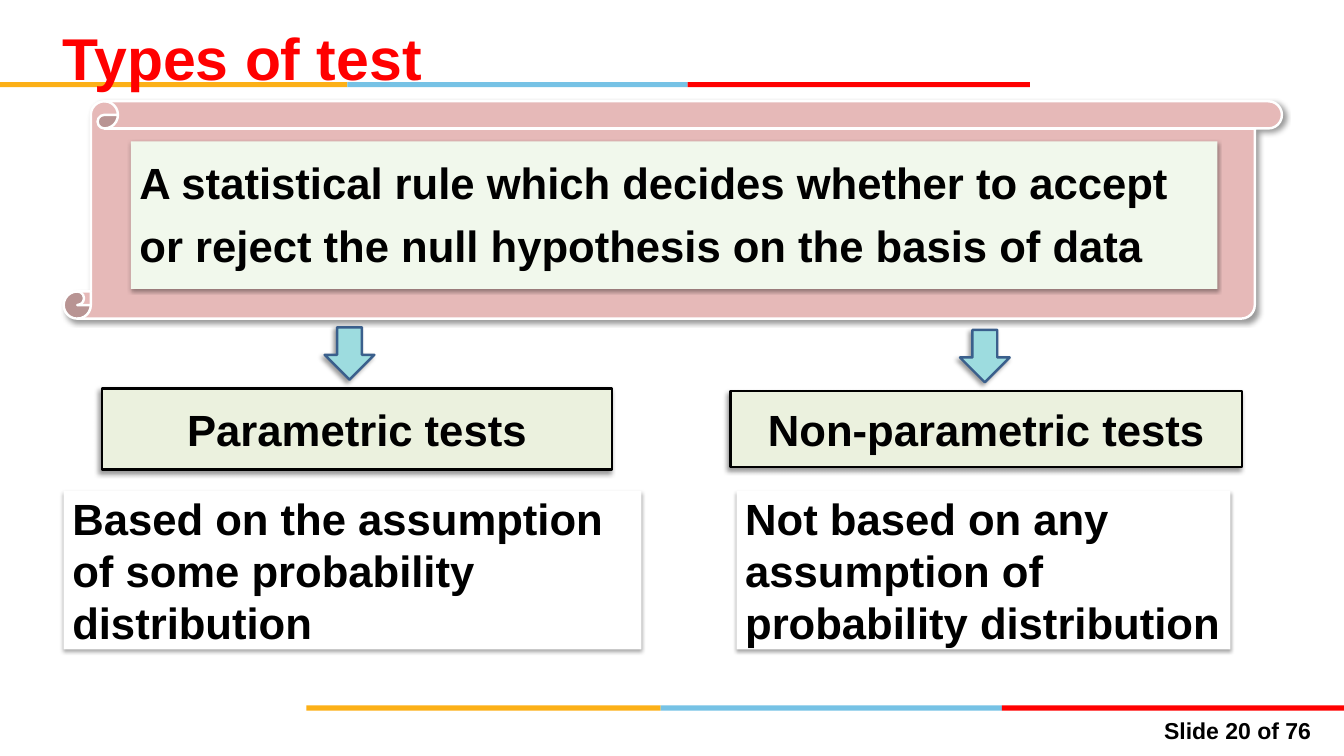
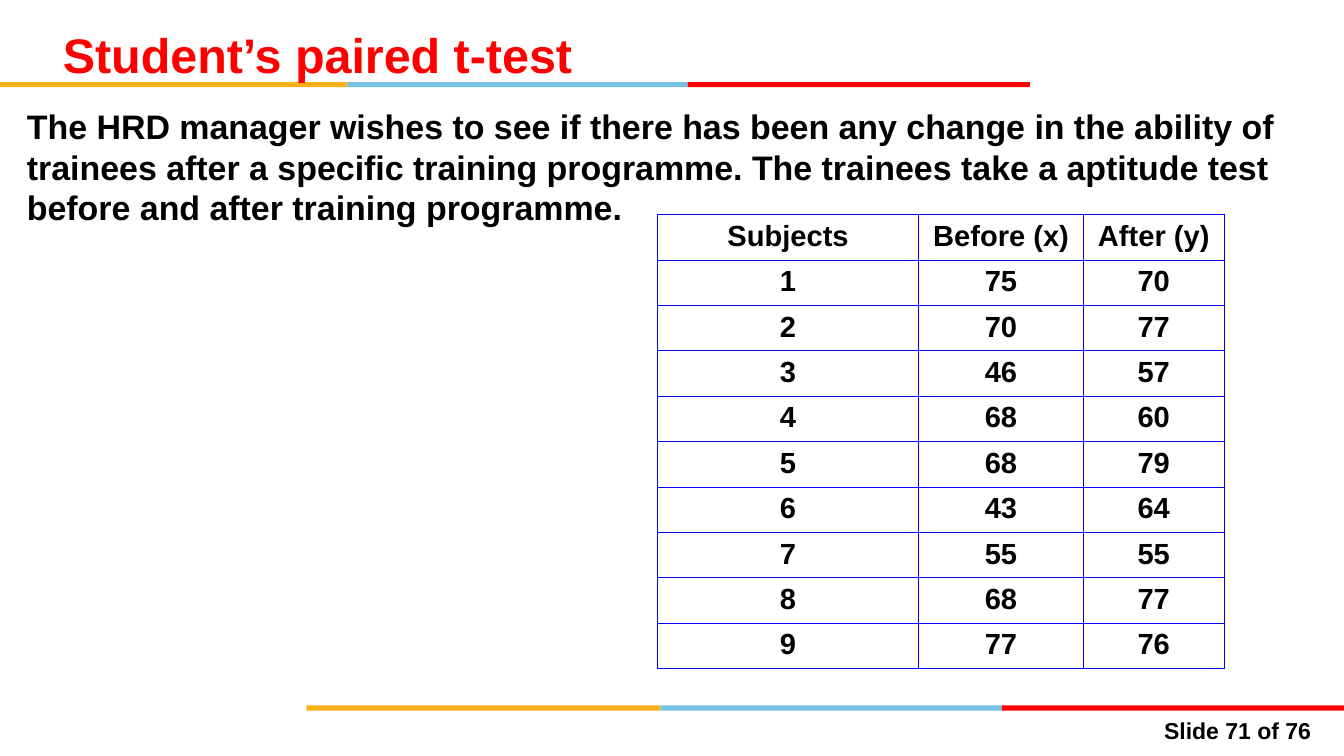
"""Build two slides on statistical tests, with a shared title style, bands and footer."""
from lxml.etree import SubElement
from pptx import Presentation
from pptx.dml.color import RGBColor
from pptx.enum.shapes import MSO_SHAPE
from pptx.enum.text import MSO_ANCHOR, MSO_AUTO_SIZE, PP_ALIGN
from pptx.oxml import parse_xml
from pptx.oxml.ns import nsdecls, qn
from pptx.util import Inches, Pt

FONT = "Arial"
BLACK, WHITE, RED, GOLD, SKY = "000000", "FFFFFF", "FF0000", "FCB017", "76C2E5"
BLUE, ROSE, MINT, SAGE, AQUA, NAVY = "0000FF", "E6B9B8", "F1F8EC", "EBF1DE", "9DDCDF", "3A5F8C"
SOFT = (35, 3.1, 1.8, 90)
EAST = (40, 4, 3, 45)
WEST = (40, 4, 3, 135)
hue = RGBColor.from_string


def put(slide, kind, box, fill, line=None, shade=None):
    """Add a filled shape with an optional outline and shadow."""
    shape = slide.shapes.add_shape(kind, *[Inches(n) for n in box])
    shape.shadow.inherit = False
    shape.fill.solid()
    shape.fill.fore_color.rgb = hue(fill)
    if line:
        shape.line.color.rgb = hue(line)
        shape.line.width = Pt(2)
    else:
        shape.line.fill.background()
    if shade:
        alpha, blur, dist, turn = shade
        list_el = shape.element.spPr.find(qn("a:effectLst"))
        drop = SubElement(list_el, qn("a:outerShdw"), blurRad=str(Pt(blur)), dist=str(Pt(dist)),
                          dir=str(turn * 60000), algn="ctr", rotWithShape="0")
        tint = SubElement(drop, qn("a:srgbClr"), val=BLACK)
        SubElement(tint, qn("a:alpha"), val=str(alpha * 1000))
    return shape


def write(frame, text, size, color=BLACK, align=PP_ALIGN.LEFT, space=None):
    """Write one bold paragraph into a text frame."""
    frame.word_wrap = True
    para = frame.paragraphs[0]
    para.alignment = align
    if space:
        para.line_spacing = space
    run = para.add_run()
    run.text = text
    run.font.name = FONT
    run.font.size = Pt(size)
    run.font.bold = True
    run.font.color.rgb = hue(color)


deck = Presentation()
deck.slide_width, deck.slide_height = Inches(15.4), Inches(8.66)

BANDS = [
    (0, 0.94, 3.98, GOLD), (3.98, 0.94, 3.9, SKY), (7.88, 0.94, 3.92, RED),
    (3.51, 8.08, 4.06, GOLD), (7.57, 8.08, 3.91, SKY), (11.48, 8.08, 3.92, RED),
]
slides = []
for head, size, page in [("Types of test", 48.6, 20), ("Student’s paired t-test", 40, 71)]:
    slide = deck.slides.add_slide(deck.slide_layouts[5])
    for left, top, width, color in BANDS:
        put(slide, MSO_SHAPE.RECTANGLE, (left, top, width, 0.06), color)
    foot = slide.shapes.add_textbox(Inches(12.87), Inches(8.16), Inches(2.25), Inches(0.39))
    write(foot.text_frame, f"Slide {page} of 76", 19, align=PP_ALIGN.RIGHT)
    title = slide.shapes.title
    title.left, title.top = Inches(0.62), Inches(0.08)
    title.width, title.height = Inches(13.86), Inches(0.75)
    title.text_frame.auto_size = MSO_AUTO_SIZE.NONE
    title.text_frame.vertical_anchor = MSO_ANCHOR.MIDDLE
    write(title.text_frame, head, size, RED, space=1.5)
    slide.shapes.element.append(title.element)
    slides.append(slide)
types, paired = slides

put(types, MSO_SHAPE.VERTICAL_SCROLL, (0.73, 1.16, 13.96, 2.49), ROSE, WHITE, EAST)
rule = put(types, MSO_SHAPE.RECTANGLE, (1.5, 1.62, 12.45, 1.69), MINT, shade=SOFT)
rule.text_frame.vertical_anchor = MSO_ANCHOR.TOP
write(rule.text_frame, "A statistical rule which decides whether to accept "
      "or reject the null hypothesis on the basis of data", 36, space=1.2)

BRANCHES = [
    ("Parametric tests", (1.17, 4.45, 5.84, 0.93), (3.72, 3.75),
     "Based on the assumption of some probability distribution", (0.73, 6.62)),
    ("Non-parametric tests", (8.37, 4.48, 5.86, 0.87), (11, 3.78),
     "Not based on any assumption of probability distribution", (8.44, 5.66)),
]
for name, box, tip, basis, (left, width) in BRANCHES:
    put(types, MSO_SHAPE.DOWN_ARROW, (*tip, 0.57, 0.6), AQUA, NAVY, WEST)
    label = put(types, MSO_SHAPE.RECTANGLE, box, SAGE, BLACK, WEST)
    write(label.text_frame, name, 36, align=PP_ALIGN.CENTER)
    note = put(types, MSO_SHAPE.RECTANGLE, (left, 5.62, width, 1.82), WHITE, shade=SOFT)
    write(note.text_frame, basis, 36)

case = paired.shapes.add_textbox(Inches(0.21), Inches(1.16), Inches(14.98), Inches(6.63))
write(case.text_frame, "The HRD manager wishes to see if there has been any change in the "
      "ability of trainees after a specific training programme. The trainees take a "
      "aptitude test before and after training programme.", 28)

BEFORE = [75, 70, 46, 68, 68, 43, 55, 68, 77]
AFTER = [70, 77, 57, 60, 79, 64, 55, 77, 76]
rows = [("Subjects", "Before (x)", "After (y)"), *zip(range(1, 10), BEFORE, AFTER)]
grid = paired.shapes.add_table(len(rows), 3, Inches(7.53), Inches(2.46),
                               Inches(6.5), Inches(0.5 * len(rows))).table
grid.first_row = grid.horz_banding = False
for col, width in zip(grid.columns, (3, 1.88, 1.62)):
    col.width = Inches(width)
for r, row in enumerate(rows):
    for c, value in enumerate(row):
        cell = grid.cell(r, c)
        cell.margin_left = cell.margin_right = Inches(0.15)
        cell.margin_top = cell.margin_bottom = Inches(0.06)
        cell.fill.background()
        write(cell.text_frame, str(value), 24, align=PP_ALIGN.CENTER)
        props = cell._tc.get_or_add_tcPr()
        for i, side in enumerate("LRTB"):
            props.insert(i, parse_xml(
                f'<a:ln{side} {nsdecls("a")} w="{Pt(1)}"><a:solidFill>'
                f'<a:srgbClr val="{BLUE}"/></a:solidFill></a:ln{side}>'))

deck.save("out.pptx")
